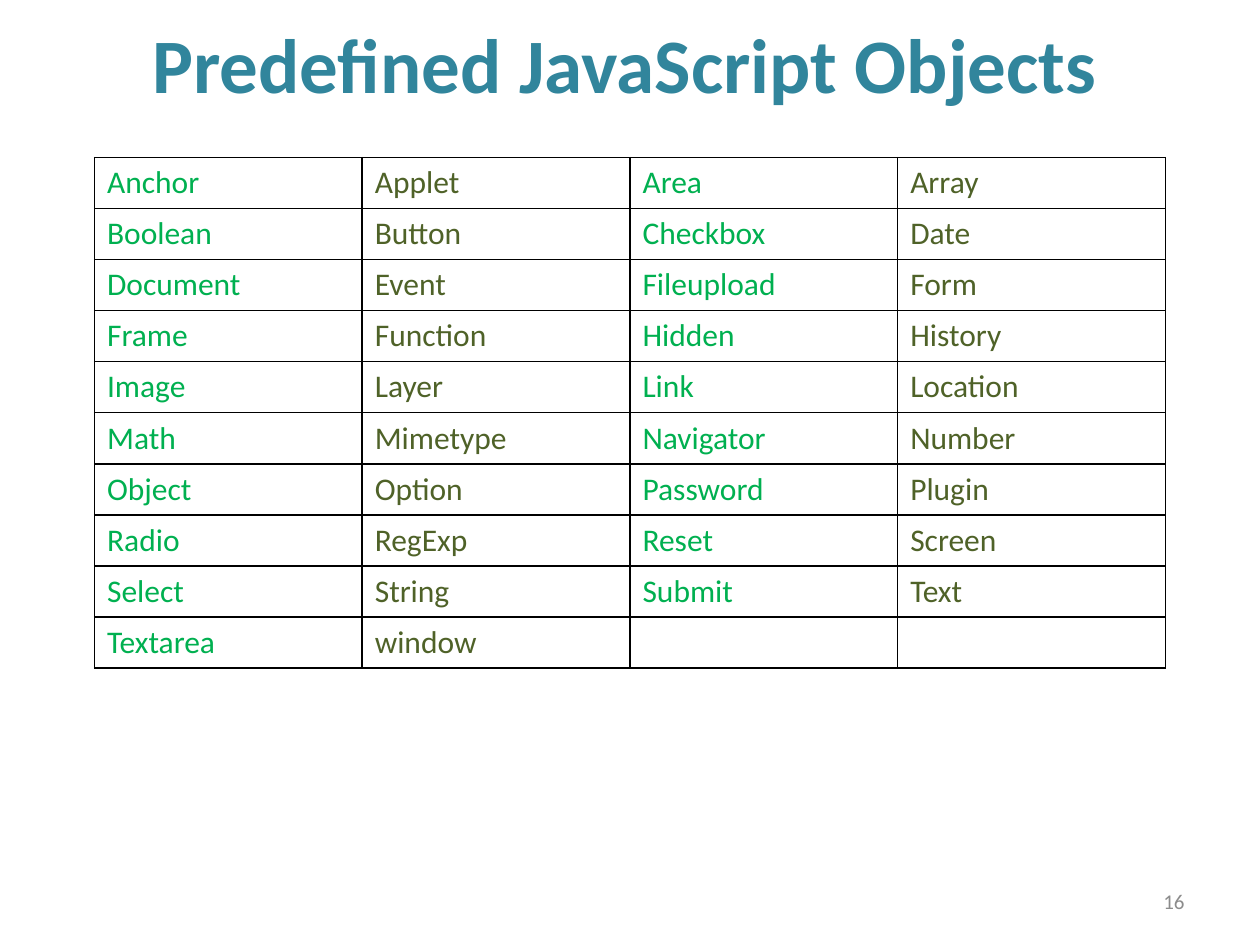
from lxml import etree
from pptx import Presentation
from pptx.dml.color import RGBColor
from pptx.enum.text import MSO_ANCHOR, PP_ALIGN
from pptx.oxml.ns import qn
from pptx.util import Inches, Pt

MIDDLE = MSO_ANCHOR.MIDDLE
CENTER, RIGHT = PP_ALIGN.CENTER, PP_ALIGN.RIGHT
TEAL = RGBColor(0x31, 0x85, 0x9C)
GREEN = RGBColor(0x00, 0xB0, 0x50)
OLIVE = RGBColor(0x4F, 0x62, 0x28)
GRAY = RGBColor(0x8C, 0x8C, 0x8C)
BLACK = RGBColor(0x00, 0x00, 0x00)

NAMES = """
Anchor Applet Area Array
Boolean Button Checkbox Date
Document Event Fileupload Form
Frame Function Hidden History
Image Layer Link Location
Math Mimetype Navigator Number
Object Option Password Plugin
Radio RegExp Reset Screen
Select String Submit Text
Textarea window
"""


class Page:
    """Draws styled elements on one slide, placed on a 40 by 30 grid."""

    font = "Calibri"
    cols, rows = 40, 30

    def __init__(self, deck):
        self.slide = deck.slides.add_slide(deck.slide_layouts[6])
        self.col = deck.slide_width / self.cols
        self.row = deck.slide_height / self.rows

    def place(self, left, top, width, height):
        return (round(left * self.col), round(top * self.row),
                round(width * self.col), round(height * self.row))

    def style(self, frame, size, color, bold=False):
        for para in frame.paragraphs:
            for run in para.runs:
                run.font.name = self.font
                run.font.size = Pt(size)
                run.font.bold = bold
                run.font.color.rgb = color

    def text(self, words, area, size, color, align, bold=False):
        frame = self.slide.shapes.add_textbox(*self.place(*area)).text_frame
        frame.word_wrap = True
        frame.vertical_anchor = MIDDLE
        frame.text = words
        frame.paragraphs[0].alignment = align
        self.style(frame, size, color, bold)

    def border(self, cell, color, width):
        props = cell._tc.get_or_add_tcPr()
        for side in ("lnL", "lnR", "lnT", "lnB"):
            line = etree.SubElement(props, qn(f"a:{side}"), w=str(Pt(width)))
            fill = etree.SubElement(line, qn("a:solidFill"))
            etree.SubElement(fill, qn("a:srgbClr"), val=str(color))

    def table(self, data, area, size, colors):
        count = max(map(len, data))
        table = self.slide.shapes.add_table(
            len(data), count, *self.place(*area)).table
        table.first_row = table.horz_banding = False
        for r, words in enumerate(data):
            for c in range(count):
                cell = table.cell(r, c)
                self.border(cell, BLACK, 1)
                cell.fill.background()
                if c < len(words):
                    cell.text_frame.text = words[c]
                    self.style(cell.text_frame, size, colors[c % len(colors)])


def main():
    deck = Presentation()
    deck.slide_width, deck.slide_height = Inches(10), Inches(7.5)
    page = Page(deck)
    page.text("Predefined JavaScript Objects", (1.33, 0.17, 37, 3.67),
              44, TEAL, CENTER, bold=True)
    data = [line.split() for line in NAMES.strip().splitlines()]
    page.table(data, (3, 5, 34, 16.22), 18, (GREEN, OLIVE))
    page.text("16", (28.67, 27.8, 9.33, 1.6), 12, GRAY, RIGHT)
    deck.save("out.pptx")


if __name__ == "__main__":
    main()
